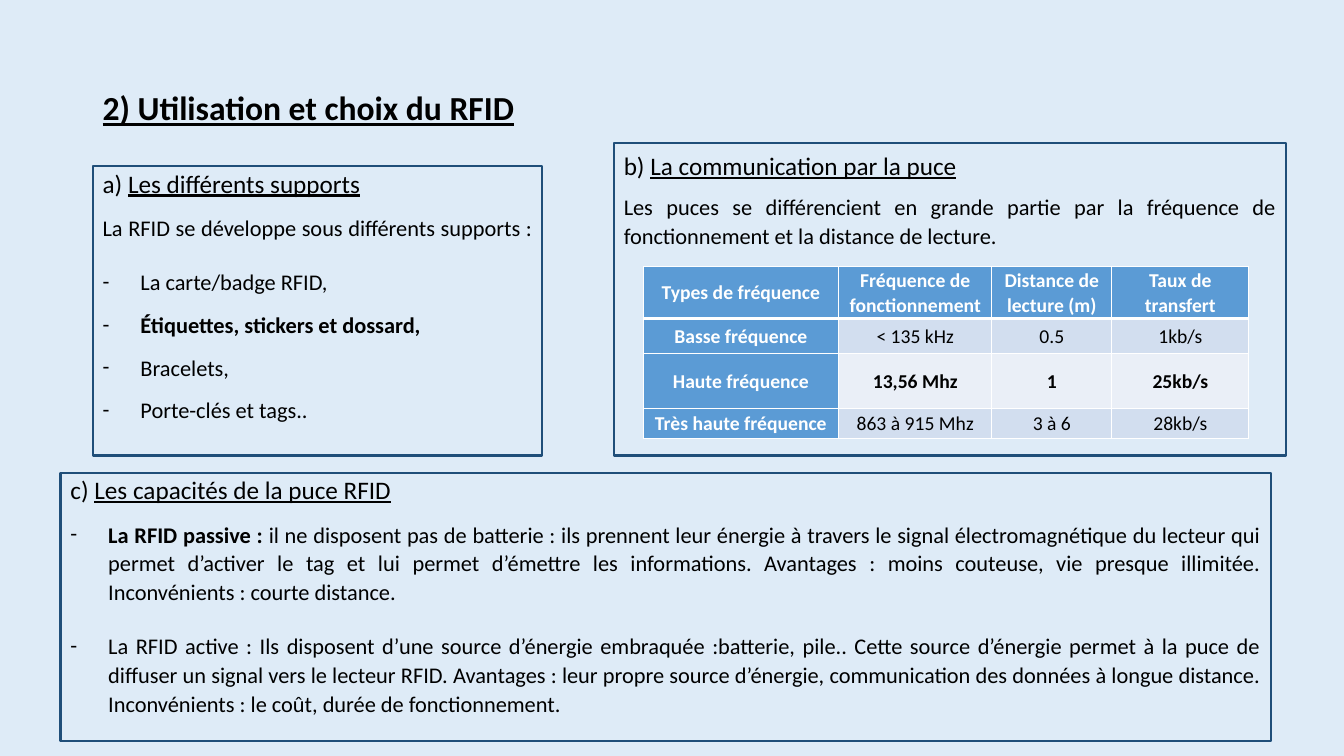
from lxml import etree
from pptx import Presentation
from pptx.dml import color
from pptx.enum import shapes, text
from pptx.oxml import ns
from pptx.util import Pt

NAVY, BLUE, WHITE, BLACK = "1F4E79", "5B9BD5", "FFFFFF", "000000"
BANDS = ["D2DEEF", "EAEFF7"]
BOLD, UNDERLINE = {"bold": True}, {"underline": True}


def rgb(code):
    return color.RGBColor.from_string(code)


def write(frame, paragraphs, ink=BLACK):
    """Each paragraph is (format, size, bulleted, [(words, font format), ...])."""
    for number, (layout, size, bulleted, runs) in enumerate(paragraphs):
        para = frame.paragraphs[0] if number == 0 else frame.add_paragraph()
        for key, value in layout.items():
            setattr(para, key, value)
        if bulleted:
            props = para._p.get_or_add_pPr()
            props.set("marL", str(Pt(27)))
            props.set("indent", str(Pt(-27)))
            etree.SubElement(props, ns.qn("a:buFont")).set("typeface", "Calibri")
            etree.SubElement(props, ns.qn("a:buChar")).set("char", "-")
        for words, look in runs:
            run = para.add_run()
            run.text = words
            for key, value in {"name": "Calibri", "size": Pt(size), **look}.items():
                setattr(run.font, key, value)
            run.font.color.rgb = rgb(ink)


deck = Presentation()
deck.slide_width, deck.slide_height = Pt(960), Pt(540)
slide = deck.slides.add_slide(deck.slide_layouts[6])
slide.background.fill.solid()
slide.background.fill.fore_color.rgb = rgb("DEEBF7")

# Paragraph formats
left, justified = text.PP_ALIGN.LEFT, text.PP_ALIGN.JUSTIFY
heading = {"alignment": left, "line_spacing": 0.9, "space_before": Pt(10)}
chip_heading = {"alignment": left, "line_spacing": 1.07, "space_after": Pt(8)}
chip_body = {**chip_heading, "alignment": justified}
item = {"alignment": left, "line_spacing": 1.07, "space_before": Pt(10)}
body = {**item, "alignment": justified, "space_after": Pt(8)}
centred = {"alignment": text.PP_ALIGN.CENTER, "line_spacing": 1.07}

# Title
title = slide.shapes.add_textbox(Pt(66.24), Pt(0), Pt(828), Pt(157)).text_frame
title.word_wrap = True
title.vertical_anchor = text.MSO_ANCHOR.MIDDLE
write(title, [({"line_spacing": 0.9}, 24, False,
               [("2) Utilisation et choix du RFID", {**BOLD, **UNDERLINE})])])

# Frequency table
frequencies = [
    ["Types de fréquence", "Fréquence de fonctionnement", "Distance de lecture (m)", "Taux de transfert"],
    ["Basse fréquence", "< 135 kHz", "0.5", "1kb/s"],
    ["Haute fréquence", "13,56 Mhz", "1", "25kb/s"],
    ["Très haute fréquence", "863 à 915 Mhz", "3 à 6", "28kb/s"],
]
widths, heights = [139.7, 109.4, 85.7, 97.9], [32.4, 25.2, 38.9, 21.6]
table = slide.shapes.add_table(4, 4, Pt(459.4), Pt(190.1),
                               Pt(sum(widths)), Pt(sum(heights))).table
for column, width in zip(table.columns, widths):
    column.width = Pt(width)
for r, (values, height) in enumerate(zip(frequencies, heights)):
    table.rows[r].height = Pt(height)
    for c, value in enumerate(values):
        cell = table.cell(r, c)
        is_header = r == 0 or c == 0
        for side in ("left", "right", "top", "bottom"):
            setattr(cell, f"margin_{side}", Pt(0.72))
        cell.vertical_anchor = text.MSO_ANCHOR.MIDDLE
        for side in "LRTB":
            under_header = (r, side) in [(0, "B"), (1, "T")]
            edge = etree.SubElement(cell._tc.get_or_add_tcPr(), ns.qn(f"a:ln{side}"),
                                    w=str(Pt(3 if under_header else 1)))
            paint = etree.SubElement(edge, ns.qn("a:solidFill"))
            etree.SubElement(paint, ns.qn("a:srgbClr"), val=WHITE)
        cell.fill.solid()
        cell.fill.fore_color.rgb = rgb(BLUE if is_header else BANDS[(r - 1) % 2])
        write(cell.text_frame,
              [(centred, 14, False, [(value, {"bold": is_header or r == 2})])],
              WHITE if is_header else BLACK)

# Outlined panels: position and paragraphs
supports = ["La carte/badge RFID,", "Étiquettes, stickers et dossard,",
            "Bracelets,", "Porte-clés et tags.."]
panels = [
    ((66.24, 118.8, 321.1, 206.6), [
        (heading, 18, False, [("a) ", {}), ("Les différents supports", UNDERLINE)]),
        (body, 16, False, [("La RFID se développe sous différents supports : ", {})]),
        *[(item, 16, True, [(support, {"bold": support.startswith("Étiquettes")})])
          for support in supports],
    ]),
    ((438.5, 102.2, 480.2, 223.2), [
        (chip_heading, 18, False, [("b) ", {}), ("La communication par la puce", UNDERLINE)]),
        (chip_body, 16, False, [(
            "Les puces se différencient en grande partie par la fréquence de "
            "fonctionnement et la distance de lecture.", {})]),
    ]),
    ((43.2, 337.7, 864.7, 191.5), [
        (heading, 18, False, [("c) ", {}), ("Les capacités de la puce RFID", UNDERLINE)]),
        (body, 16, True, [("La RFID passive :", BOLD), (
            " il ne disposent pas de batterie : ils prennent leur énergie à travers le signal "
            "électromagnétique du lecteur qui permet d’activer le tag et lui permet d’émettre "
            "les informations. Avantages : moins couteuse, vie presque illimitée. "
            "Inconvénients : courte distance.", {})]),
        (body, 16, True, [(
            "La RFID active : Ils disposent d’une source d’énergie embraquée :batterie, pile.. "
            "Cette source d’énergie permet à la puce de diffuser un signal vers le lecteur RFID. "
            "Avantages : leur propre source d’énergie, communication des données à longue "
            "distance. Inconvénients : le coût, durée de fonctionnement.", {})]),
    ]),
]
for place, paragraphs in panels:
    panel = slide.shapes.add_shape(shapes.MSO_SHAPE.RECTANGLE, *map(Pt, place))
    panel.shadow.inherit = False
    panel.fill.background()
    panel.line.color.rgb = rgb(NAVY)
    panel.line.width = Pt(1.5)
    panel.text_frame.word_wrap = True
    panel.text_frame.vertical_anchor = text.MSO_ANCHOR.TOP
    write(panel.text_frame, paragraphs)

deck.save("out.pptx")
